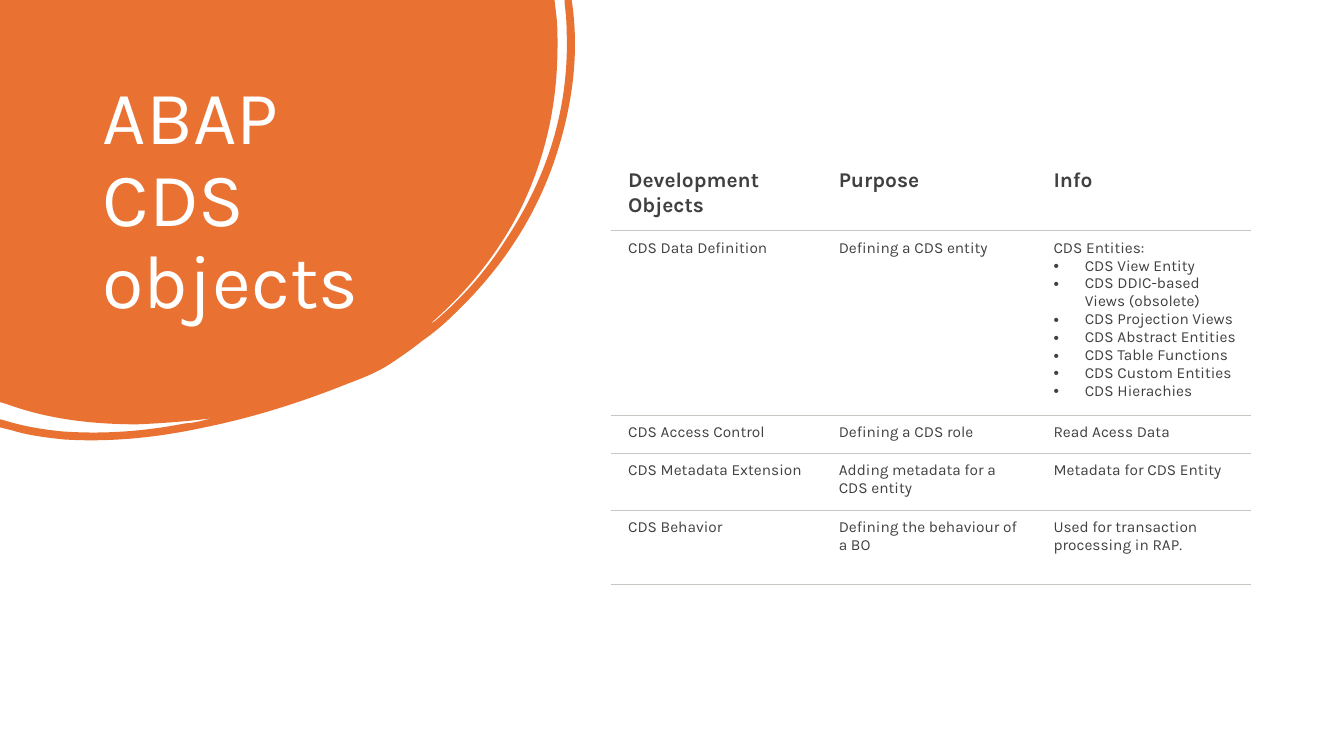
"""Build the ABAP CDS objects slide."""
import lxml.etree
import pptx
import pptx.dml.color
import pptx.oxml
import pptx.oxml.ns
import pptx.util
from pptx.oxml.ns import qn
from pptx.util import Inches

ORANGE, WHITE, GREY, RULE = "E97132", "FFFFFF", "404040", "C7C6C1"
NO_STYLE = "{2D5ABB26-0587-4C30-8999-92F81FD0307C}"

BLOB_OUTLINE = [
    (0, 0), (5.5, 0), (5.52, 0.17),
    (5.53, 0.26, 5.53, 0.36, 5.53, 0.45), (5.53, 1.01, 5.42, 1.54, 5.18, 2.04),
    (4.96, 2.49, 4.65, 2.88, 4.27, 3.21), (4.29, 3.21, 4.3, 3.19, 4.32, 3.18),
    (4.59, 2.95, 4.82, 2.69, 5.01, 2.39), (5.43, 1.76, 5.65, 1.07, 5.62, 0.3),
    (5.62, 0.21, 5.61, 0.12, 5.6, 0.03), (5.6, 0), (5.67, 0), (5.68, 0.07),
    (5.74, 0.54, 5.68, 1.02, 5.53, 1.5), (5.33, 2.14, 4.97, 2.68, 4.48, 3.14),
    (4.39, 3.23, 4.29, 3.31, 4.19, 3.38), (4.09, 3.46, 3.99, 3.53, 3.87, 3.61),
    (3.75, 3.69, 3.6, 3.75, 3.44, 3.81), (2.99, 3.99, 2.52, 4.14, 2.03, 4.24),
    (1.57, 4.34, 1.1, 4.39, 0.63, 4.36), (0.45, 4.34, 0.28, 4.32, 0.12, 4.27),
    (0, 4.24), (0, 4.16), (0.04, 4.17),
    (0.23, 4.23, 0.42, 4.26, 0.61, 4.28), (1.03, 4.31, 1.43, 4.28, 1.84, 4.2),
    (1.89, 4.2, 1.93, 4.19, 1.98, 4.18), (2.02, 4.17, 2.06, 4.16, 2.1, 4.15),
    (1.86, 4.18, 1.61, 4.2, 1.36, 4.21), (0.92, 4.21, 0.48, 4.16, 0.07, 4.01),
    (0, 3.99),
]

ENTITIES = ["CDS Entities:", "CDS View Entity", "CDS DDIC-based Views (obsolete)",
            "CDS Projection Views", "CDS Abstract Entities", "CDS Table Functions",
            "CDS Custom Entities", "CDS Hierachies"]
ROWS = [
    ("Development Objects", "Purpose", "Info"),
    ("CDS Data Definition", "Defining a CDS entity", "\n".join(ENTITIES)),
    ("CDS Access Control", "Defining a CDS role", "Read Acess Data"),
    ("CDS Metadata Extension", "Adding metadata for a CDS entity", "Metadata for CDS Entity"),
    ("CDS Behavior", "Defining the behaviour of a BO",
     "Used for transaction processing in RAP."),
]
COLUMN_WIDTHS = [2.09, 2.13, 2.13]
ROW_HEIGHTS = [0.7, 1.83, 0.38, 0.56, 0.74]


def color(value):
    return pptx.dml.color.RGBColor.from_string(value)


class SlideBuilder:
    font_name = "Karla"

    def __init__(self, slide):
        self.slide = slide

    def style(self, paragraph, size, hex_color, bold=False):
        for run in paragraph.runs:
            run.font.name = self.font_name
            run.font.size = pptx.util.Pt(size)
            run.font.bold = bold
            run.font.color.rgb = color(hex_color)

    def freeform(self, outline, width, height, fill):
        ends = [(Inches(segment[-2]), Inches(segment[-1])) for segment in outline]
        builder = self.slide.shapes.build_freeform(*ends[0])
        builder.add_line_segments(ends[1:], close=True)
        shape = builder.convert_to_shape()
        shape.width, shape.height = Inches(width), Inches(height)
        geometry = next(shape._element.iter(qn("a:path")))
        geometry.set("w", str(shape.width))
        geometry.set("h", str(shape.height))
        for line, segment in zip(geometry.findall(qn("a:lnTo")), outline[1:]):
            if len(segment) == 6:
                self.curve(line, segment)
        shape.shadow.inherit = False
        shape.fill.solid()
        shape.fill.fore_color.rgb = color(fill)
        shape.line.fill.background()

    def curve(self, line, segment):
        bezier = lxml.etree.Element(qn("a:cubicBezTo"))
        for x, y in zip(segment[::2], segment[1::2]):
            point = lxml.etree.SubElement(bezier, qn("a:pt"))
            point.set("x", str(Inches(x)))
            point.set("y", str(Inches(y)))
        line.getparent().replace(line, bezier)

    def title(self, text, left, top, width, height):
        box = self.slide.shapes.add_textbox(
            Inches(left), Inches(top), Inches(width), Inches(height))
        frame = box.text_frame
        frame.word_wrap = True
        frame.margin_right = Inches(0.4)
        frame.text = text
        frame.paragraphs[0].line_spacing = 0.9
        self.style(frame.paragraphs[0], 54, WHITE)

    def bullet(self, paragraph):
        properties = paragraph._p.get_or_add_pPr()
        properties.set("marL", str(Inches(0.31)))
        properties.set("indent", str(-Inches(0.31)))
        for tag, name, value in (("a:buFont", "typeface", "Arial"), ("a:buChar", "char", "•")):
            lxml.etree.SubElement(properties, qn(tag)).set(name, value)

    def bottom_border(self, cell):
        border = pptx.oxml.parse_xml(
            f'<a:lnB {pptx.oxml.ns.nsdecls("a")} w="{pptx.util.Pt(0.75)}"><a:solidFill>'
            f'<a:srgbClr val="{RULE}"/></a:solidFill></a:lnB>')
        cell._tc.get_or_add_tcPr().insert(0, border)

    def cell(self, cell, text, header):
        cell.margin_left, cell.margin_right = Inches(0.17), Inches(0.13)
        cell.margin_top = cell.margin_bottom = Inches(0.08)
        cell.fill.background()
        cell.text_frame.text = text
        for index, paragraph in enumerate(cell.text_frame.paragraphs):
            self.style(paragraph, 15 if header else 11, GREY, header)
            if index:
                self.bullet(paragraph)
        self.bottom_border(cell)

    def table(self, rows, left, top, widths, heights):
        frame = self.slide.shapes.add_table(
            len(rows), len(widths), Inches(left), Inches(top),
            Inches(sum(widths)), Inches(sum(heights)))
        table = frame.table
        table.horz_banding = False
        table._tbl.tblPr.find(qn("a:tableStyleId")).text = NO_STYLE
        for column, width in zip(table.columns, widths):
            column.width = Inches(width)
        for row_index, (row, height) in enumerate(zip(rows, heights)):
            table.rows[row_index].height = Inches(height)
            for column_index, text in enumerate(row):
                self.cell(table.cell(row_index, column_index), text, row_index == 0)


def main():
    presentation = pptx.Presentation()
    presentation.slide_width, presentation.slide_height = Inches(13.33), Inches(7.5)
    slide = presentation.slides.add_slide(presentation.slide_layouts[6])
    builder = SlideBuilder(slide)
    builder.freeform(BLOB_OUTLINE, 5.71, 4.37, ORANGE)
    builder.title("ABAP CDS objects", 0.92, 0.74, 3.52, 2.22)
    builder.table(ROWS, 6.06, 1.59, COLUMN_WIDTHS, ROW_HEIGHTS)
    presentation.save("out.pptx")


if __name__ == "__main__":
    main()
